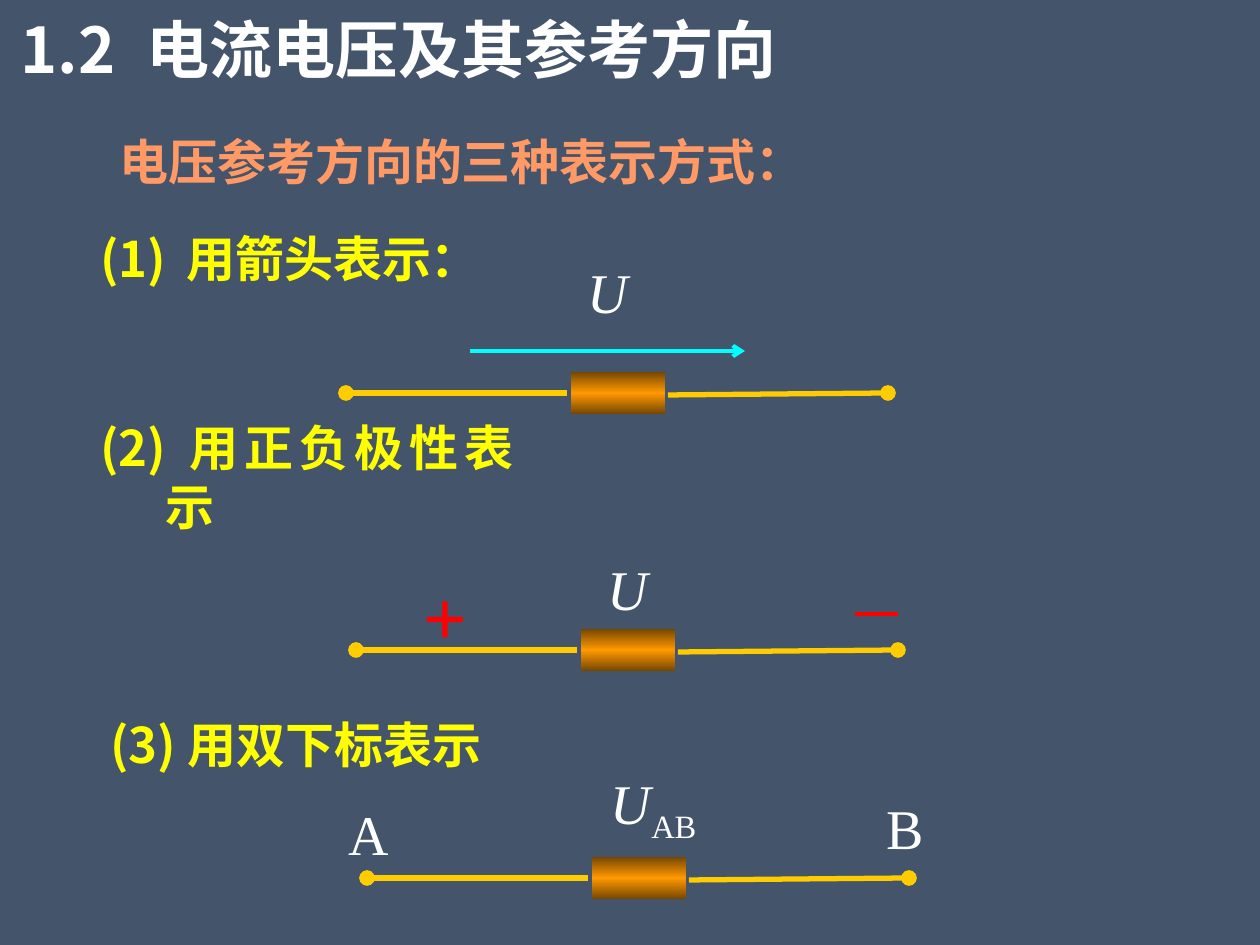
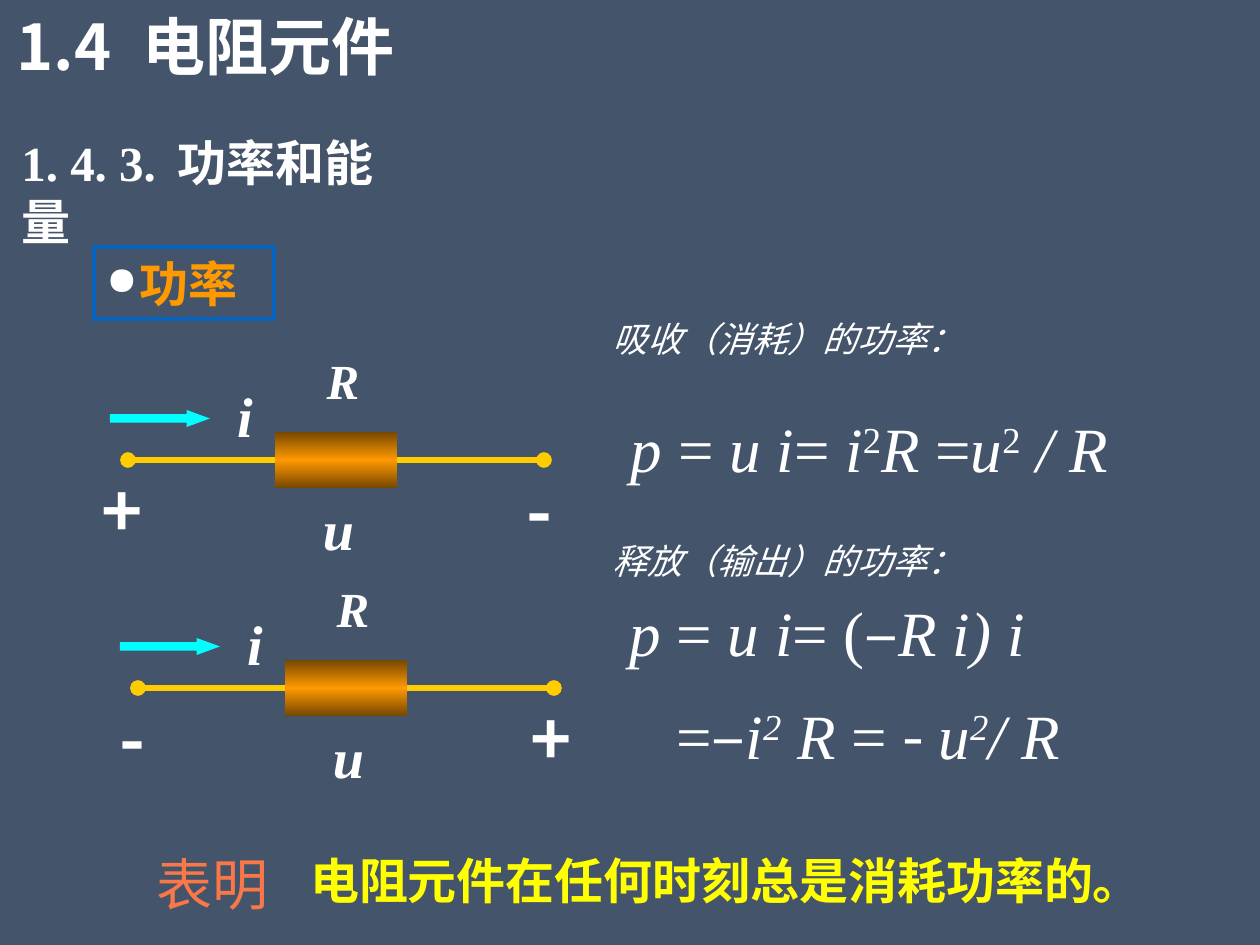
from lxml.etree import SubElement
from pptx import Presentation
from pptx.dml.color import RGBColor
from pptx.enum.shapes import MSO_CONNECTOR, MSO_SHAPE
from pptx.enum.text import MSO_ANCHOR, PP_ALIGN
from pptx.oxml import parse_xml
from pptx.oxml.ns import nsdecls, qn
from pptx.util import Pt

HUE = dict(back="44546A", white="FFFFFF", yellow="FFFF00", peach="FF9966",
           coral="FA7748", orange="FF9900", brown="764700", wire="FFCC00",
           cyan="00FFFF", red="FF0000", blue="0563C1")
SANS, SERIF = "Noto Sans CJK SC", "Times New Roman"
ALIGN = dict(l=PP_ALIGN.LEFT, c=PP_ALIGN.CENTER, j=PP_ALIGN.JUSTIFY)

# Run styles used inside formulas
UP, IT = dict(i=False), dict(i=True)
SUP, SUPI = dict(i=False, base=30), dict(i=True, base=30)
DASH = dict(i=False, font=SANS)

# Text formats
HEAD = dict(size=36, font=SANS, bold=True, wrap=True, tab=126)
ITEM = dict(size=28, font=SANS, bold=True, color="yellow", wrap=True)
NOTE = dict(size=20, i=True, wrap=True)
MATH = dict(size=36, wrap=True)
SIGN = dict(size=40, font=SANS, bold=True, align="c", top=True, wrap=True)
NAME = dict(size=32, align="c")
VAR = dict(size=32, bold=True, i=True, align="c", top=True, wrap=True)

# Slide contents: (left, top, width, height), text, format
VOLT = [
    ((8, 4, 799, 89), "1.2\t电流电压及其参考方向", HEAD),
    ((105, 125, 714, 72), "电压参考方向的三种表示方式：",
     dict(size=28, bold=True, color="peach", align="c")),
    ((88, 222, 427, 72), "(1)\t用箭头表示：", ITEM | dict(tab=86)),
    ((88, 440, 438, 72), "(2) 用正负极性表示", ITEM | dict(align="j", hang=65)),
    ((98, 708, 498, 72), "(3) 用双下标表示", ITEM | dict(align="j", hang=53)),
    ((575, 252, 66, 79), "U", NAME | IT),
    ((595, 549, 66, 79), "U", NAME | IT),
    ((411, 562, 69, 105), "+", dict(size=44, bold=True, color="red", align="c")),
    ((336, 794, 66, 79), "A", NAME),
    ((874, 788, 63, 79), "B", NAME),
    ((595, 767, 117, 79), [[("U", IT), ("AB", dict(base=-25))]], NAME),
]
PARTS = [(571, 372), (581, 629), (592, 857)]

POWER = [
    ((4, 1, 412, 89), "1.4\t电阻元件", HEAD),
    ((9, 126, 421, 72), "1. 4. 3.\t功率和能量",
     dict(size=28, bold=True, top=True, wrap=True, tab=156)),
    ((600, 311, 557, 55), "吸收（消耗）的功率：", NOTE),
    ((600, 533, 557, 55), "释放（输出）的功率：", NOTE),
    ((591, 403, 557, 88),
     [[("p ", IT), ("= ", UP), ("u i", IT), ("= ", UP), ("i", IT), ("2", SUP),
       ("R ", IT), ("=", UP), ("u", IT), ("2", SUP), (" / R", IT)]],
     MATH | dict(align="c")),
    ((617, 582, 597, 202),
     [[("p ", IT), ("= ", UP), ("u i", IT), ("= (", UP), ("–", DASH),
       ("R i) i", IT)],
      [("=", UP), ("–", DASH), ("i", IT), ("2", SUPI), (" R ", IT), ("= ", UP),
       ("- ", DASH), ("u", IT), ("2", SUPI), ("/ R", IT)]],
     MATH | dict(gap=15.5, shift=47)),
    ((144, 843, 137, 79), "表明", dict(size=32, color="coral", top=True)),
    ((295, 844, 862, 72), "电阻元件在任何时刻总是消耗功率的。",
     dict(size=28, bold=True, color="yellow", align="c")),
]
LOADS = [(275, 432, "+", "-"), (285, 660, "-", "+")]


def px(n):
    return round(n * 914400 / 126)


def rgb(name):
    return RGBColor.from_string(HUE[name])


def put(run, size=28, font=SERIF, color="white", bold=False, i=False, base=0):
    f = run.font
    f.size, f.name, f.bold, f.italic = Pt(size), font, bold, i
    f.color.rgb = rgb(color)
    props = run._r.get_or_add_rPr()
    SubElement(props, qn("a:ea")).set("typeface", SANS)
    if base:
        props.set("baseline", str(base * 1000))


def write(slide, area, text, align="l", top=False, wrap=False, tab=0, hang=0,
          shift=0, gap=0, dot=False, edge=None, **form):
    box = slide.shapes.add_textbox(*map(px, area))
    if edge:
        box.line.color.rgb, box.line.width = rgb(edge), Pt(2.25)
    frame = box.text_frame
    frame.word_wrap = wrap
    frame.vertical_anchor = MSO_ANCHOR.TOP if top else MSO_ANCHOR.MIDDLE
    paras = [[(text, {})]] if isinstance(text, str) else text
    for n, runs in enumerate(paras):
        para = frame.add_paragraph() if n else frame.paragraphs[0]
        para.alignment = ALIGN[align]
        props = para._p.get_or_add_pPr()
        if n:
            para.space_before = Pt(gap)
            props.set("marL", str(px(shift)))
        if hang:
            props.set("marL", str(px(hang)))
            props.set("indent", str(-px(hang)))
        if dot:
            tint = SubElement(props, qn("a:buClr"))
            SubElement(tint, qn("a:srgbClr")).set("val", HUE["white"])
            SubElement(props, qn("a:buSzPct")).set("val", "80000")
            SubElement(props, qn("a:buChar")).set("char", "●")
        if tab:
            stop = SubElement(SubElement(props, qn("a:tabLst")), qn("a:tab"))
            stop.set("pos", str(px(tab)))
            stop.set("algn", "l")
        for words, style in runs:
            run = para.add_run()
            run.text = words
            put(run, **(form | style))


def line(slide, ends, color, width, tip=None):
    link = slide.shapes.add_connector(MSO_CONNECTOR.STRAIGHT, *map(px, ends))
    link.line.color.rgb, link.line.width = rgb(color), Pt(width)
    if tip:
        SubElement(link.line._get_or_add_ln(), qn("a:tailEnd")).set("type", tip)
    SubElement(link._element.spPr, qn("a:effectLst"))
    return link


def block(slide, *area):
    box = slide.shapes.add_shape(MSO_SHAPE.RECTANGLE, *map(px, area))
    stops = "".join(
        f'<a:gs pos="{at}"><a:srgbClr val="{HUE[c]}"/></a:gs>'
        for at, c in ((0, "brown"), (50000, "orange"), (100000, "brown")))
    box._element.spPr.insert(2, parse_xml(
        f'<a:gradFill {nsdecls("a")} rotWithShape="1"><a:gsLst>{stops}</a:gsLst>'
        '<a:lin ang="5400000" scaled="0"/></a:gradFill>'))
    box.line.fill.background()
    box.shadow.inherit = False
    return box


def load(slide, x, y, left, right):
    """Resistor with joined leads, current arrow and polarity signs."""
    box, mid = block(slide, x, y, 122, 56), y + 28
    for side, near, far in ((1, x, x - 147), (3, x + 122, x + 269)):
        lead = line(slide, (near, mid, far, mid), "wire", 3, "oval")
        lead.begin_connect(box, side)
    flow = slide.shapes.add_shape(
        MSO_SHAPE.RIGHT_ARROW, *map(px, (x - 165, y - 22, 100, 17)))
    flow.adjustments[0], flow.adjustments[1] = 0.5, 1.37
    flow.fill.solid()
    flow.fill.fore_color.rgb = rgb("cyan")
    flow.line.fill.background()
    flow.shadow.inherit = False
    write(slide, (x + 39, y - 88, 58, 72), "R", size=28, bold=True, i=True, align="c")
    write(slide, (x + 15, y + 56, 97, 79), "u", **VAR)
    write(slide, (x - 66, y - 57, 72, 79), "i", **VAR)
    write(slide, (x - 211, y + 29, 117, 97), left, **SIGN)
    write(slide, (x + 233, y + 29, 63, 97), right, **SIGN)


def page(deck, items):
    slide = deck.slides.add_slide(deck.slide_layouts[6])
    slide.background.fill.solid()
    slide.background.fill.fore_color.rgb = rgb("back")
    for area, text, form in items:
        write(slide, area, text, **form)
    return slide


def main():
    deck = Presentation()
    deck.slide_width, deck.slide_height = px(1260), px(945)

    # Three ways to mark a voltage direction
    slide = page(deck, VOLT)
    for x, y in PARTS:
        block(slide, x, y, 94, 42)
        line(slide, (x - 4, y + 21, x - 225, y + 21), "wire", 3, "oval")
        line(slide, (x + 97, y + 23, x + 317, y + 21), "wire", 3, "oval")
    line(slide, (470, 351, 745, 351), "cyan", 2.25, "arrow")
    line(slide, (855, 614, 898, 614), "red", 2.25)

    # Power of a resistor
    slide = page(deck, POWER)
    write(slide, (94, 247, 180, 72), "功率", size=28, bold=True, color="orange",
          wrap=True, hang=33, dot=True, edge="blue")
    for spot in LOADS:
        load(slide, *spot)

    deck.save("out.pptx")


if __name__ == "__main__":
    main()
